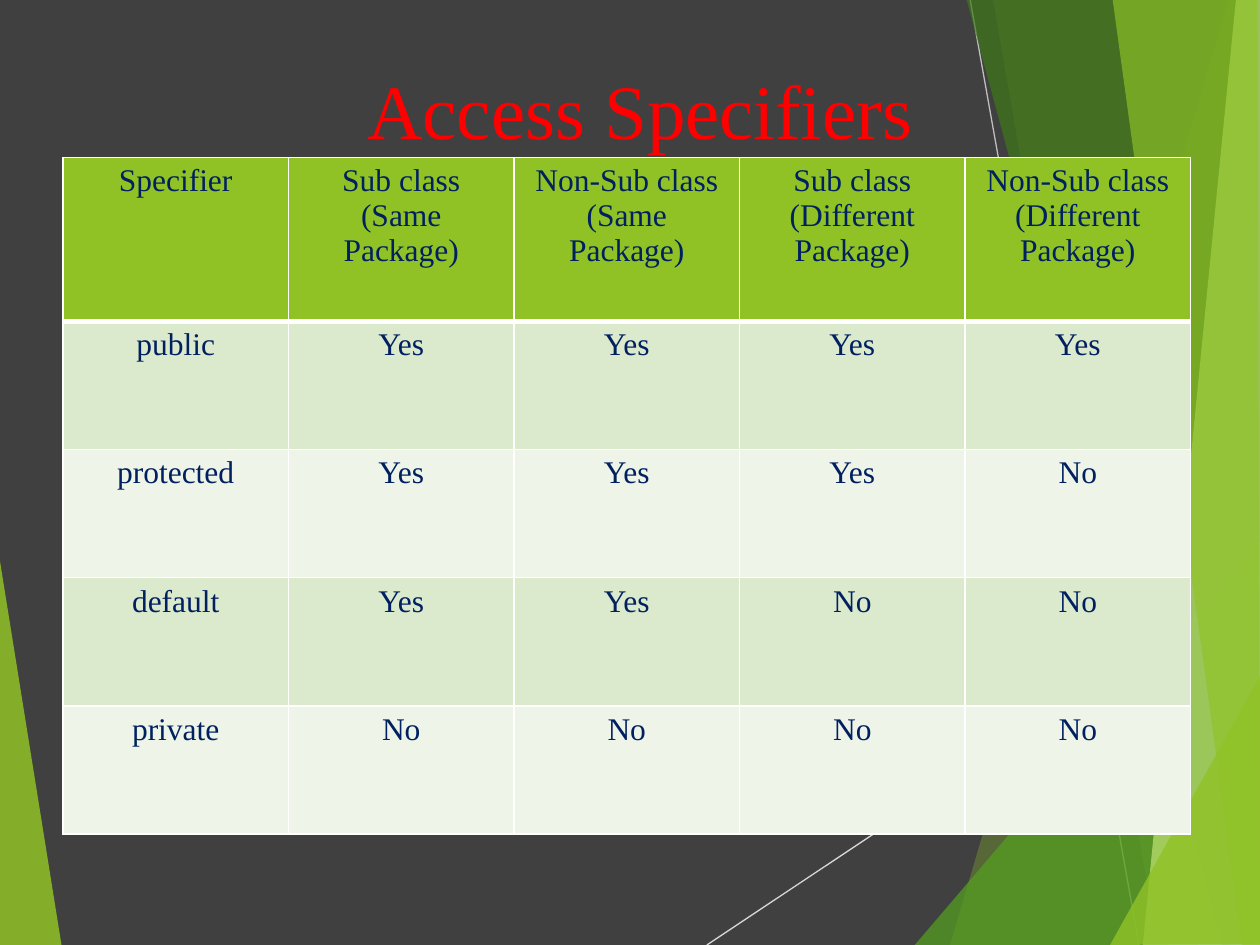
from dataclasses import dataclass

from lxml.etree import SubElement
from pptx import Presentation
from pptx.dml.color import RGBColor
from pptx.enum.shapes import MSO_CONNECTOR
from pptx.enum.text import MSO_ANCHOR, PP_ALIGN
from pptx.oxml.ns import qn
from pptx.util import Inches, Pt


@dataclass(frozen=True)
class Theme:
    font: str = "Times New Roman"
    title_size: int = 44
    cell_size: int = 18
    background: str = "404040"
    title: str = "FF0000"
    text: str = "002060"
    border: str = "FFFFFF"
    lime: str = "90C226"
    green: str = "54A021"
    forest: str = "3F7819"
    pale: str = "C0E474"
    bands: tuple = ("DBE9CD", "EEF4E8")
    rays: tuple = ("D9D9D9", "BFBFBF")


THEME = Theme()

# Facets: fill, opacity in percent, corner points
LEFT_FACET = (THEME.lime, 85, [(-0.01, 4.39), (0.49, 7.51), (-0.01, 7.5)])
RIGHT_FACETS = [
    (THEME.lime, 30, [(9.75, 0), (7.54, 7.5), (10.02, 7.51), (10.01, 0.01)]),
    (THEME.lime, 20, [(7.88, -0.01), (9.19, 7.5), (10.01, 7.5), (10.01, -0.01)]),
    (THEME.green, 72, [(7.26, 7.5), (10, 4.29), (10.01, 7.5)]),
    (THEME.forest, 70, [(7.67, -0.01), (9.7, 7.5), (10.01, 7.49), (10.01, -0.01)]),
    (THEME.pale, 70, [(9.81, -0.01), (9.07, 7.5), (10.01, 7.5), (10, -0.01)]),
    (THEME.lime, 65, [(8.83, -0.01), (9.86, 7.5), (10, 7.5), (9.98, -0.01)]),
    (THEME.lime, 80, [(8.81, 7.5), (10.01, 5.35), (10.01, 7.49)]),
]
RAYS = [((5.61, 7.5), (10.01, 4.57)), ((7.7, 0), (9.04, 7.5))]

ROWS = [
    ["Specifier", "Sub class (Same Package)", "Non-Sub class (Same Package)",
     "Sub class (Different Package)", "Non-Sub class (Different Package)"],
    ["public", "Yes", "Yes", "Yes", "Yes"],
    ["protected", "Yes", "Yes", "Yes", "No"],
    ["default", "Yes", "Yes", "No", "No"],
    ["private", "No", "No", "No", "No"],
]


def rgb(value):
    return RGBColor.from_string(value)


def style_paragraph(p, size, color):
    p.alignment = PP_ALIGN.CENTER
    p.font.name = THEME.font
    p.font.size = Pt(size)
    p.font.bold = False
    p.font.color.rgb = rgb(color)


def add_facet(s, left, top, color, opacity, points):
    corners = [(left + Inches(x), top + Inches(y)) for x, y in points]
    builder = s.shapes.build_freeform(*corners[0])
    builder.add_line_segments(corners[1:], close=True)
    sp = builder.convert_to_shape()
    sp.shadow.inherit = False
    sp.line.fill.background()
    sp.fill.solid()
    sp.fill.fore_color.rgb = rgb(color)
    fill_color = sp.fill._xPr.find(qn("a:solidFill"))[0]
    SubElement(fill_color, qn("a:alpha"), val=str(opacity * 1000))


def add_ray(s, left, top, start, end, color):
    (x1, y1), (x2, y2) = start, end
    ray = s.shapes.add_connector(
        MSO_CONNECTOR.STRAIGHT, left + Inches(x1), top + Inches(y1),
        left + Inches(x2), top + Inches(y2))
    ray.line.color.rgb = rgb(color)
    ray.line.width = Pt(0.75)
    SubElement(ray._element.spPr, qn("a:effectLst"))


def add_backdrop(s, left, top):
    add_facet(s, left, top, *LEFT_FACET)
    for (start, end), color in zip(RAYS, THEME.rays):
        add_ray(s, left, top, start, end, color)
    for facet in RIGHT_FACETS:
        add_facet(s, left, top, *facet)


def add_title(s, left, top, width, height, text):
    tf = s.shapes.add_textbox(left, top, width, height).text_frame
    tf.word_wrap = True
    tf.vertical_anchor = MSO_ANCHOR.TOP
    tf.margin_top = Inches(0.17)
    p = tf.paragraphs[0]
    p.text = text
    style_paragraph(p, THEME.title_size, THEME.title)


def set_borders(cell, bottom):
    """Draw 1 pt borders, with the bottom one of the given width in points."""
    tcPr = cell._tc.get_or_add_tcPr()
    widths = {"a:lnL": 1, "a:lnR": 1, "a:lnT": 1, "a:lnB": bottom}
    for index, (tag, width) in enumerate(widths.items()):
        ln = SubElement(tcPr, qn(tag), w=str(Pt(width)))
        SubElement(SubElement(ln, qn("a:solidFill")), qn("a:srgbClr"), val=THEME.border)
        tcPr.insert(index, ln)


def add_specifier_table(s, left, top, width, height):
    header_height = Inches(1.3)
    table = s.shapes.add_table(
        len(ROWS), len(ROWS[0]), left, top, width, height).table
    for column in table.columns:
        column.width = width // len(ROWS[0])
    for i, values in enumerate(ROWS):
        is_header = i == 0
        table.rows[i].height = (
            header_height if is_header else (height - header_height) // (len(ROWS) - 1))
        for j, value in enumerate(values):
            cell = table.cell(i, j)
            cell.fill.solid()
            cell.fill.fore_color.rgb = rgb(
                THEME.lime if is_header else THEME.bands[(i - 1) % 2])
            set_borders(cell, bottom=3 if is_header else 1)
            p = cell.text_frame.paragraphs[0]
            p.text = value
            style_paragraph(p, THEME.cell_size, THEME.text)


def main():
    prs = Presentation()
    prs.slide_width, prs.slide_height = Inches(10), Inches(7.5)
    s = prs.slides.add_slide(prs.slide_layouts[6])
    s.background.fill.solid()
    s.background.fill.fore_color.rgb = rgb(THEME.background)
    add_backdrop(s, Inches(0), Inches(0))
    add_title(s, Inches(0.83), Inches(0.33), Inches(8.5), Inches(1.25),
              "Access Specifiers")
    add_specifier_table(s, Inches(0.5), Inches(1.25), Inches(8.95), Inches(5.37))
    prs.save("out.pptx")


if __name__ == "__main__":
    main()
